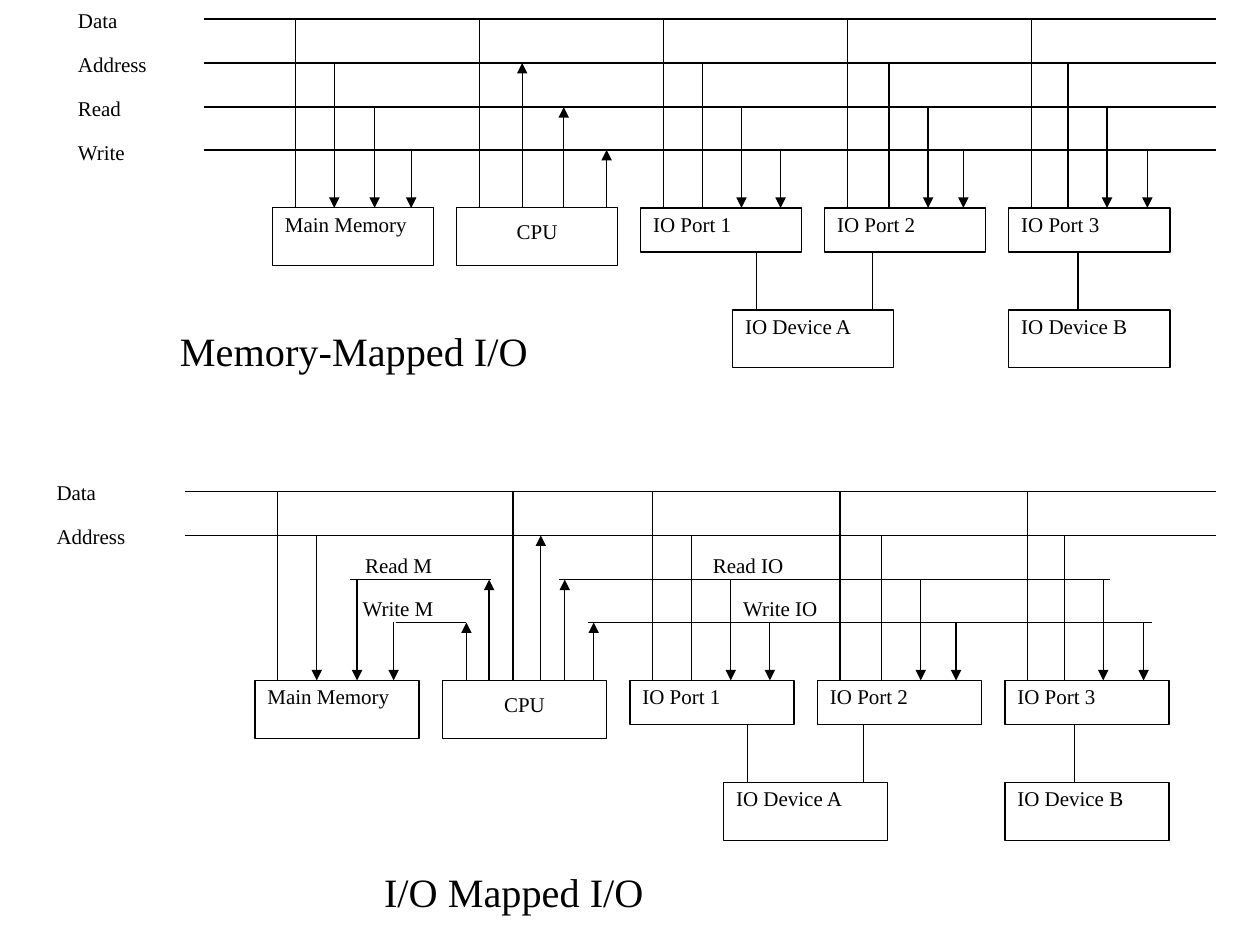
from dataclasses import dataclass

from lxml.etree import SubElement
from pptx import Presentation
from pptx.dml.color import RGBColor
from pptx.enum.shapes import MSO_CONNECTOR, MSO_SHAPE
from pptx.enum.text import MSO_ANCHOR, PP_ALIGN
from pptx.oxml.ns import qn
from pptx.util import Inches, Pt


@dataclass(frozen=True)
class Theme:
    """Hold the colours, font and sizes of the slide."""
    ink: RGBColor = RGBColor(0, 0, 0)
    paper: RGBColor = RGBColor(255, 255, 255)
    font: str = "Times New Roman"
    body: float = 12
    title: float = 23
    rule: float = 0.75


@dataclass(frozen=True)
class Box:
    """Hold the place of a region in inches."""
    left: float
    top: float
    width: float
    height: float

    def inner(self, x, y, width, height):
        """Return a box placed relative to this one."""
        return Box(self.left + x, self.top + y, width, height)

    def inches(self):
        """Return the four lengths for a shape."""
        return [Inches(n) for n in (self.left, self.top, self.width, self.height)]


THEME = Theme()
BUS_TOPS = (0.12, 0.47, 0.82, 1.16)
UNIT_TOP = 1.62
UNIT_HIGH = 0.46
PORT_HIGH = 0.35
DROP = 0.81
UNITS = (
    ("Main Memory", (0.18, 0.49, 0.81, 1.1), 1),
    ("CPU", (), 0),
    ("IO Port 1", (0.18, 0.49, 0.8, 1.11), 2),
    ("IO Port 2", (0.18, 0.51, 0.82, 1.1), 2),
    ("IO Port 3", (0.18, 0.47, 0.78, 1.1), 2),
)
DEVICES = (("IO Device A", 2.5, (0.19, 1.11)), ("IO Device B", 4, (0.55,)))


def add_text(slide, box, text, size=THEME.body, align=PP_ALIGN.LEFT,
             inset=0.05, frame=False):
    """Add text, in a ruled rectangle if a frame is wanted."""
    if frame:
        shape = slide.shapes.add_shape(MSO_SHAPE.RECTANGLE, *box.inches())
        shape.shadow.inherit = False
        shape.fill.solid()
        shape.fill.fore_color.rgb = THEME.paper
        shape.line.color.rgb = THEME.ink
        shape.line.width = Pt(THEME.rule)
    else:
        shape = slide.shapes.add_textbox(*box.inches())
    body = shape.text_frame
    body.word_wrap = True
    body.vertical_anchor = MSO_ANCHOR.TOP
    body.margin_left = body.margin_right = Inches(0.1)
    body.margin_top, body.margin_bottom = Inches(inset), Inches(0.05)
    para = body.paragraphs[0]
    para.text = text
    para.alignment = align
    para.line_spacing = 0.9
    para.font.name = THEME.font
    para.font.size = Pt(size)
    para.font.color.rgb = THEME.ink


def add_line(slide, box, start, end, arrow=False):
    """Add a line between two points of the box, with an arrow at its end."""
    ends = [Inches(n) for x, y in (start, end) for n in (box.left + x, box.top + y)]
    line = slide.shapes.add_connector(MSO_CONNECTOR.STRAIGHT, *ends)
    line.line.color.rgb = THEME.ink
    line.line.width = Pt(THEME.rule)
    props = line._element.spPr
    if arrow:
        SubElement(props.find(qn("a:ln")), qn("a:tailEnd"), type="triangle")
    SubElement(props, qn("a:effectLst"))


def draw_units(slide, box):
    """Draw the units, their bus taps and the devices below."""
    first, pitch, width = (box.width * share for share in (0.18, 0.16, 0.14))
    for index, (name, taps, heads) in enumerate(UNITS):
        left = first + index * pitch
        height = PORT_HIGH if name.startswith("IO") else UNIT_HIGH
        is_cpu = name == "CPU"
        add_text(slide, box.inner(left, UNIT_TOP, width, height), name, frame=True,
                 inset=0.11 if is_cpu else 0.05,
                 align=PP_ALIGN.CENTER if is_cpu else PP_ALIGN.LEFT)
        for bus, tap in enumerate(taps):
            add_line(slide, box, (left + tap, BUS_TOPS[bus]), (left + tap, UNIT_TOP),
                     arrow=bus >= heads)
    for name, column, links in DEVICES:
        left, top = first + column * pitch, UNIT_TOP + DROP
        add_text(slide, box.inner(left, top, width, UNIT_HIGH), name, frame=True)
        for link in links:
            add_line(slide, box, (left + link, UNIT_TOP + PORT_HIGH), (left + link, top))


def draw_cpu(slide, box, taps):
    """Draw the CPU taps, given as pairs of offset and bus number."""
    left = box.width * 0.34
    for tap, bus in taps:
        add_line(slide, box, (left + tap, UNIT_TOP), (left + tap, BUS_TOPS[bus]),
                 arrow=bus > 0)


def draw_buses(slide, box, names):
    """Draw the named buses that run the full width."""
    for index, name in enumerate(names):
        add_text(slide, box.inner(0, index * 0.35, 1.28, 0.35), name)
        y = BUS_TOPS[index]
        add_line(slide, box, (box.width * 0.12, y), (box.width, y))


def draw_memory(slide, box):
    """Draw the memory-mapped layout."""
    draw_units(slide, box)
    draw_buses(slide, box, ("Data", "Address", "Read", "Write"))
    draw_cpu(slide, box, ((0.18, 0), (0.52, 1), (0.85, 2), (1.19, 3)))
    add_text(slide, box.inner(0.81, 2.55, 3.58, 0.42), "Memory-Mapped I/O",
             size=THEME.title)


def draw_split(slide, box):
    """Draw the layout with separate memory and I/O control lines."""
    draw_units(slide, box)
    draw_buses(slide, box, ("Data", "Address"))
    draw_cpu(slide, box, ((0.19, 3), (0.37, 2), (0.56, 0), (0.78, 1), (0.97, 2), (1.2, 3)))
    controls = (
        ("Read M", 2.45, 2, 2.43, 3.55),
        ("Write M", 2.43, 3, 2.79, 3.35),
        ("Read IO", 5.21, 2, 4.09, 8.46),
        ("Write IO", 5.45, 3, 4.32, 8.79),
    )
    for name, left, bus, start, end in controls:
        y = BUS_TOPS[bus]
        add_text(slide, box.inner(left, y - 0.24, 1.3, 0.34), name)
        add_line(slide, box, (start, y), (end, y))
    add_text(slide, box.inner(2.6, 3.1, 3.72, 0.46), "I/O Mapped I/O", size=THEME.title)


def main():
    """Build and save the slide."""
    deck = Presentation()
    deck.slide_width, deck.slide_height = Inches(10), Inches(7.5)
    slide = deck.slides.add_slide(deck.slide_layouts[6])
    draw_memory(slide, Box(0.52, 0.03, 9.13, 2.97))
    draw_split(slide, Box(0.35, 3.78, 9.3, 3.56))
    deck.save("out.pptx")


if __name__ == "__main__":
    main()
